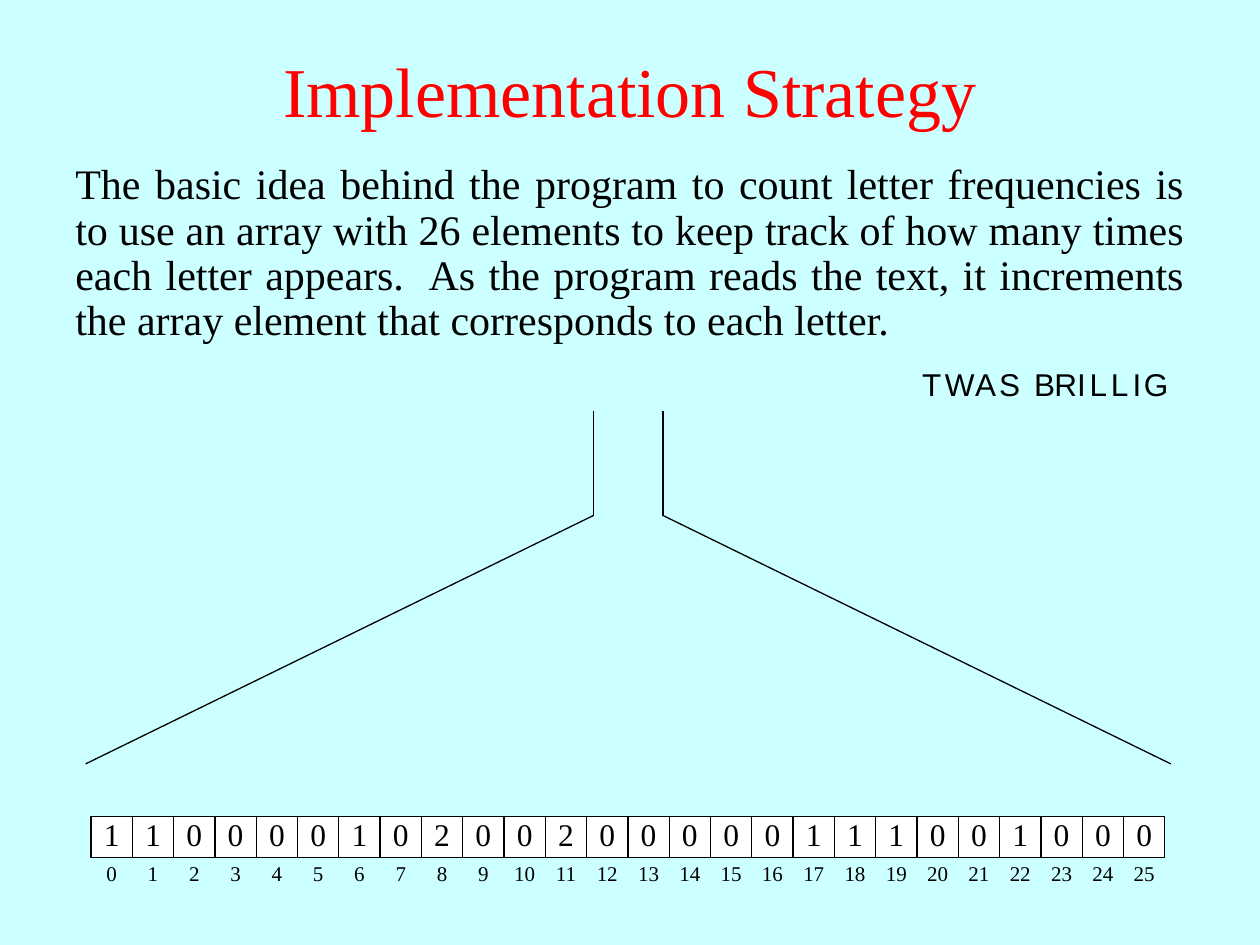
from pptx import Presentation
from pptx.dml.color import RGBColor
from pptx.enum.shapes import MSO_CONNECTOR, MSO_SHAPE
from pptx.enum.text import MSO_ANCHOR, PP_ALIGN
from pptx.oxml.ns import qn
from pptx.util import Pt
from lxml.etree import SubElement

BACKGROUND = RGBColor(0xCC, 0xFF, 0xFF)
RED = RGBColor(0xFF, 0x00, 0x00)
BLACK = RGBColor(0x00, 0x00, 0x00)
WHITE = RGBColor(0xFF, 0xFF, 0xFF)
SERIF = "Times New Roman"
SANS = "Arial"

TITLE = "Implementation Strategy"
EXPLANATION = (
    "The basic idea behind the program to count letter frequencies is to use an "
    "array with 26 elements to keep track of how many times each letter appears.  "
    "As the program reads the text, it increments the array element that "
    "corresponds to each letter."
)
LETTERS = [
    ("T", 0, 25.2), ("W", 13, 29.5), ("A", 30.3, 26.6), ("S", 44, 24.5),
    ("B", 64.1, 24.5), ("R", 75.6, 25.2), ("I", 88.6, 19.4), ("L", 95.8, 24.5),
    ("L", 108, 24.5), ("I", 120.3, 19.4), ("G", 126.8, 27.4),
]
COUNTS = [1, 1, 0, 0, 0, 0, 1, 0, 2, 0, 0, 2, 0,
          0, 0, 0, 0, 1, 1, 1, 0, 0, 1, 0, 0, 0]


def write_text(shape, text, size, font=SERIF, color=BLACK,
               align=PP_ALIGN.LEFT, spacing=None):
    text_frame = shape.text_frame
    text_frame.text = text
    paragraph = text_frame.paragraphs[0]
    paragraph.alignment = align
    paragraph.line_spacing = spacing
    run_font = paragraph.runs[0].font
    run_font.name = font
    run_font.size = Pt(size)
    run_font.color.rgb = color


def add_text(slide, box, text, size, **style):
    shape = slide.shapes.add_textbox(*map(Pt, box))
    shape.text_frame.word_wrap = True
    write_text(shape, text, size, **style)
    return shape


def add_line(slide, start, end):
    line = slide.shapes.add_connector(
        MSO_CONNECTOR.STRAIGHT, *map(Pt, (*start, *end)))
    line.line.color.rgb = BLACK
    line.line.width = Pt(0.75)
    SubElement(line._element.spPr, qn("a:effectLst"))


def add_title(slide, box):
    title = add_text(slide, box, TITLE, 40, color=RED, align=PP_ALIGN.CENTER)
    title.text_frame.vertical_anchor = MSO_ANCHOR.MIDDLE


def add_explanation(slide, box):
    add_text(slide, box, EXPLANATION, 24, align=PP_ALIGN.JUSTIFY, spacing=0.9)


def add_letters(slide, box):
    left, top, width, height = box
    for letter, offset, letter_width in LETTERS:
        add_text(slide, (left + offset, top, letter_width, height),
                 letter, 18, font=SANS)


def add_funnel(slide, box, neck_width, neck_height):
    left, top, width, height = box
    center = left + width / 2
    for side in (-1, 1):
        neck_x = center + side * neck_width / 2
        neck_end = (neck_x, top + neck_height)
        add_line(slide, (neck_x, top), neck_end)
        add_line(slide, neck_end, (center + side * width / 2, top + height))


def add_cell(slide, box, count):
    cell = slide.shapes.add_shape(MSO_SHAPE.RECTANGLE, *map(Pt, box))
    cell.shadow.inherit = False
    cell.fill.solid()
    cell.fill.fore_color.rgb = WHITE
    cell.line.color.rgb = BLACK
    cell.line.width = Pt(0.75)
    cell.text_frame.word_wrap = False
    cell.text_frame.vertical_anchor = MSO_ANCHOR.MIDDLE
    write_text(cell, str(count), 18, align=PP_ALIGN.CENTER, spacing=0.85)


def add_array(slide, box):
    left, top, width, height = box
    cell_width = width / len(COUNTS)
    overhang = 4
    for index, count in enumerate(COUNTS):
        x = left + index * cell_width
        add_cell(slide, (x, top, cell_width, height), count)
        add_text(slide, (x - overhang, top + height, cell_width + 2 * overhang, 19.4),
                 str(index), 12, align=PP_ALIGN.CENTER, spacing=0.85)


def main():
    presentation = Presentation()
    presentation.slide_width = Pt(720)
    presentation.slide_height = Pt(540)
    slide = presentation.slides.add_slide(presentation.slide_layouts[6])
    slide.background.fill.solid()
    slide.background.fill.fore_color.rgb = BACKGROUND

    add_title(slide, (0, 6, 720, 90))
    add_explanation(slide, (36, 90, 648, 112.3))
    add_funnel(slide, (49, 234.8, 620, 201.7), 39.8, 59.8)
    add_array(slide, (52, 466.6, 613.6, 23.6))
    add_letters(slide, (519.8, 205.2, 154.2, 29.5))
    presentation.save("out.pptx")


if __name__ == "__main__":
    main()
